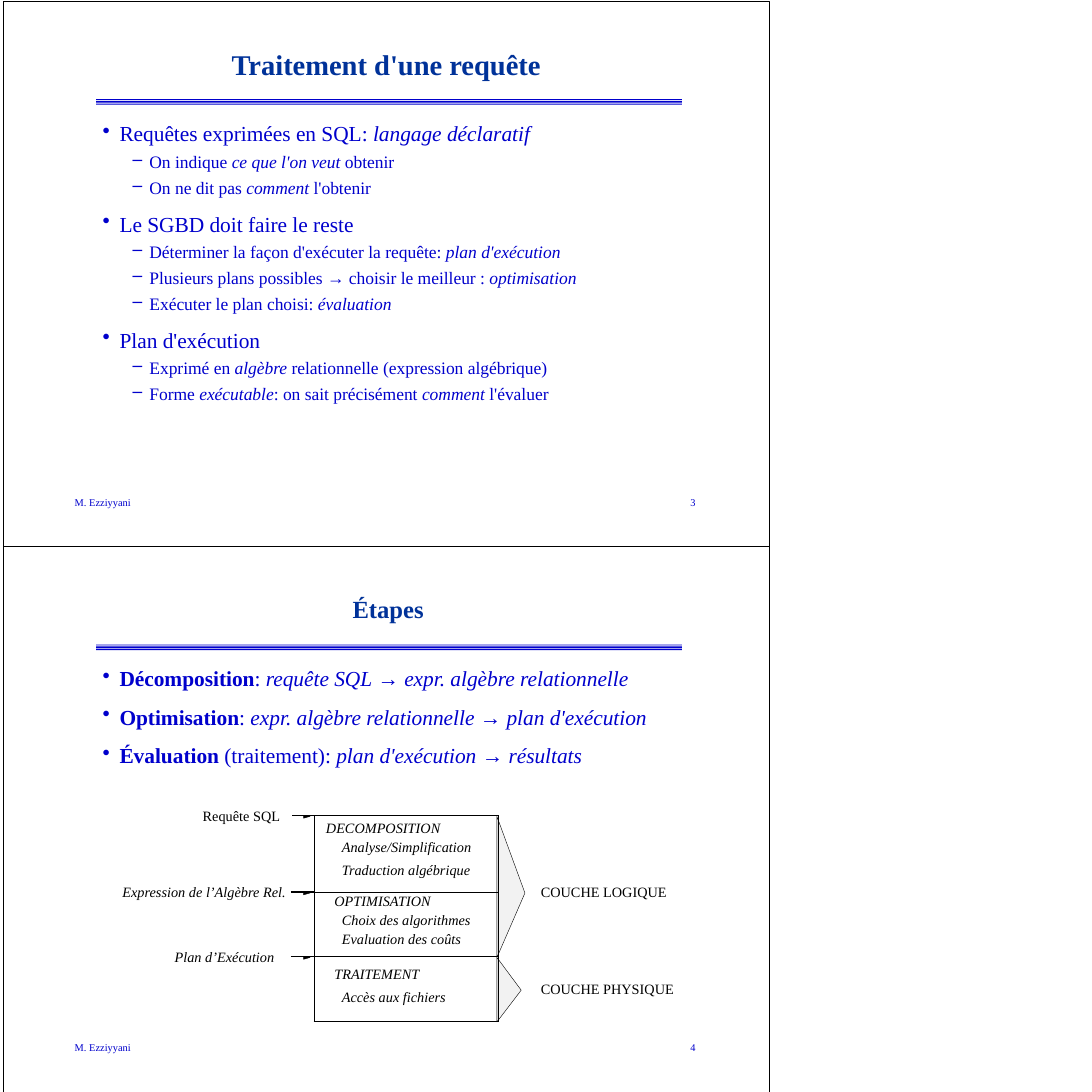
from dataclasses import dataclass

import lxml.etree
import pptx
import pptx.dml.color
import pptx.enum.shapes
import pptx.enum.text
import pptx.oxml.ns
import pptx.shapes.autoshape
import pptx.slide
import pptx.table
import pptx.text.text
import pptx.util

Inches = pptx.util.Inches
Pt = pptx.util.Pt
Color = pptx.dml.color.RGBColor
qn = pptx.oxml.ns.qn
Align = pptx.enum.text.PP_ALIGN

BLUE = Color(0x00, 0x00, 0xCC)
NAVY = Color(0x00, 0x32, 0x99)
BLACK = Color(0x00, 0x00, 0x00)
GREY = Color(0xF2, 0xF2, 0xF2)
SERIF = "Times New Roman"
ARROW = "→"
HANG = 0.18


@dataclass(frozen=True)
class Line:
    """One paragraph; *...* marks italic runs and _..._ bold runs."""
    text: str
    size: float = 11
    left: float = 0.01
    gap: float = 0
    bullet: str = ""
    bold: bool = False
    italic: bool = False
    spread: float = 1
    align: Align = Align.LEFT


@dataclass(frozen=True)
class Box:
    x: float
    y: float
    w: float
    h: float
    lines: list[Line]
    color: Color = BLACK


@dataclass(frozen=True)
class Stage:
    height: float
    inset: float
    lines: list[Line]


def head(text: str, gap: float = 9.9) -> Line:
    return Line(text, 16.5, 0.2, gap, "•")


def item(text: str) -> Line:
    return Line(text, 13.5, 0.52, 3.7, "–")


def step(text: str, left: float, gap: float = 0, spread: float = 1) -> Line:
    return Line(text, left=left, gap=gap, italic=True, spread=spread)


TITLES = [
    Box(2.47, 0.5, 3.5, 0.38, [Line("Traitement d'une requête", 22, bold=True)], NAVY),
    Box(1.08, 6.36, 5.93, 0.32,
        [Line("Étapes", 19, 0.22, bold=True, align=Align.CENTER)], NAVY),
]
BODIES = [
    Box(1.08, 1.29, 5.6, 3.05, [
        head("Requêtes exprimées en SQL: *langage déclaratif*"),
        item("On indique *ce que l'on veut* obtenir"),
        item("On ne dit pas *comment* l'obtenir"),
        head("Le SGBD doit faire le reste"),
        item("Déterminer la façon d'exécuter la requête: *plan d'exécution*"),
        item("Plusieurs plans possibles → choisir le meilleur : *optimisation*"),
        item("Exécuter le plan choisi: *évaluation*"),
        head("Plan d'exécution"),
        item("Exprimé en *algèbre* relationnelle (expression algébrique)"),
        item("Forme *exécutable*: on sait précisément *comment* l'évaluer"),
    ], BLUE),
    Box(1.08, 7.12, 6.1, 1.12, [
        head("_Décomposition_: *requête SQL* → *expr. algèbre relationnelle*"),
        head("_Optimisation_: *expr. algèbre relationnelle* → *plan d'exécution*", 10),
        head("_Évaluation_ (traitement): *plan d'exécution* → *résultats*", 10),
    ], BLUE),
]
LABELS = [
    Box(2.16, 8.64, 0.95, 0.19, [Line("Requête SQL")]),
    Box(1.3, 9.46, 1.85, 0.19, [Line("Expression de l’Algèbre Rel.", italic=True)]),
    Box(1.86, 10.15, 1.2, 0.19, [Line("Plan d’Exécution", italic=True)]),
    Box(5.78, 9.46, 1.5, 0.19, [Line("COUCHE LOGIQUE")]),
    Box(5.78, 10.49, 1.6, 0.19, [Line("COUCHE PHYSIQUE")]),
]
STAGES = [
    Stage(0.82, 0.06, [step("DECOMPOSITION", 0.13),
                       step("Analyse/Simplification", 0.3, 2.3),
                       step("Traduction algébrique", 0.3, 5.5)]),
    Stage(0.69, 0.02, [step("OPTIMISATION", 0.22),
                       step("Choix des algorithmes Evaluation des coûts", 0.3, spread=1.18)]),
    Stage(0.69, 0.11, [step("TRAITEMENT", 0.22),
                       step("Accès aux fichiers", 0.3, 5.5)]),
]
# top, tip height, bottom, depth of each layer marker
LAYERS = [(8.74, 9.56, 10.25, 0.3), (10.25, 10.6, 10.94, 0.26)]


def fill_par(par: pptx.text.text._Paragraph, line: Line, color: Color, first: bool) -> None:
    props = par._p.get_or_add_pPr()
    props.set("marL", str(Inches(line.left)))
    if line.bullet:
        props.set("indent", str(-Inches(HANG)))
        lxml.etree.SubElement(props, qn("a:buChar"), char=line.bullet)
        par.level = int(line.bullet == "–")
    par.alignment = line.align
    par.line_spacing = line.spread
    par.space_before = Pt(0 if first else line.gap)
    font = par.font
    font.name, font.size = SERIF, Pt(line.size)
    font.bold, font.italic = line.bold, line.italic
    font.color.rgb = color
    for i, part in enumerate(line.text.split("*")):
        for j, bit in enumerate(part.split("_")):
            for text in filter(None, bit.partition(ARROW)):
                run = par.add_run()
                run.text = text
                if i % 2:
                    run.font.italic = True
                if j % 2:
                    run.font.bold = True
                if text == ARROW:
                    run.font.name = "Arial"


def write(frame: pptx.text.text.TextFrame, lines: list[Line], color: Color) -> None:
    for i, line in enumerate(lines):
        par = frame.add_paragraph() if i else frame.paragraphs[0]
        fill_par(par, line, color, i == 0)


def add_box(slide: pptx.slide.Slide, box: Box) -> None:
    frame = slide.shapes.add_textbox(*map(Inches, (box.x, box.y, box.w, box.h))).text_frame
    frame.word_wrap = True
    frame.margin_left = frame.margin_right = frame.margin_top = frame.margin_bottom = 0
    write(frame, box.lines, box.color)


def paint(shape: pptx.shapes.autoshape.Shape, fill: Color | None, width: float) -> None:
    """Fill a shape and outline it in black; a width of 0 means no outline."""
    shape.shadow.inherit = False
    if fill is None:
        shape.fill.background()
    else:
        shape.fill.solid()
        shape.fill.fore_color.rgb = fill
    if width:
        shape.line.color.rgb = BLACK
        shape.line.width = Pt(width)
    else:
        shape.line.fill.background()


def add_rect(slide: pptx.slide.Slide, x: float, y: float, w: float, h: float,
             fill: Color | None, width: float) -> None:
    kind = pptx.enum.shapes.MSO_SHAPE.RECTANGLE
    paint(slide.shapes.add_shape(kind, *map(Inches, (x, y, w, h))), fill, width)


def add_wedge(slide: pptx.slide.Slide, x: float, top: float, tip: float,
              bottom: float, depth: float, fill: Color) -> None:
    """Draw a triangle that points right."""
    pen = slide.shapes.build_freeform(Inches(x), Inches(top))
    pen.add_line_segments([(Inches(x + depth), Inches(tip)), (Inches(x), Inches(bottom))])
    paint(pen.convert_to_shape(), fill, 0.31)


def set_edges(cell: pptx.table._Cell, edges: dict[str, float]) -> None:
    props = cell._tc.get_or_add_tcPr()
    for side, width in edges.items():
        edge = lxml.etree.SubElement(props, qn(f"a:ln{side}"), w=str(Pt(width)))
        solid = lxml.etree.SubElement(edge, qn("a:solidFill"))
        lxml.etree.SubElement(solid, qn("a:srgbClr"), val=str(BLACK))
    cell.fill.background()


def add_stages(slide: pptx.slide.Slide) -> None:
    size = map(Inches, (3.12, 8.73, 2.2, 2.2))
    table = slide.shapes.add_table(len(STAGES), 2, *size).table
    table.first_row = table.horz_banding = False
    table.columns[0].width, table.columns[1].width = Inches(0.22), Inches(1.98)
    for i, stage in enumerate(STAGES):
        table.rows[i].height = Inches(stage.height)
        stub, cell = table.cell(i, 0), table.cell(i, 1)
        foot = {"B": 1.5} if i < len(STAGES) - 1 else {}
        set_edges(stub, {"R": 0.5, "T": 1.5} | foot)
        set_edges(cell, dict.fromkeys("LRTB", 0.5))
        cell.margin_left = cell.margin_right = cell.margin_bottom = 0
        cell.margin_top = Inches(stage.inset)
        write(cell.text_frame, stage.lines, BLACK)


def main() -> None:
    deck = pptx.Presentation()
    deck.slide_width = deck.slide_height = Inches(11.69)
    slide = deck.slides.add_slide(deck.slide_layouts[6])
    for i, (title, body) in enumerate(zip(TITLES, BODIES)):
        top = 0.01 + 5.84 * i
        add_rect(slide, 0.03, top, 8.21, 5.84, None, 0.25)
        for drop, high in ((0, 0.01), (0.02, 0.02), (0.05, 0.01)):
            add_rect(slide, 1.03, top + 1.05 + drop, 6.27, high, BLUE, 0)
        add_box(slide, title)
        add_box(slide, body)
        for x, w, text in ((0.79, 1.75, "M. Ezziyyani"), (7.38, 0.2, str(i + 3))):
            add_box(slide, Box(x, top + 5.3, w, 0.15, [Line(text, 8)], BLUE))
    for top, tip, bottom, depth in LAYERS:
        add_wedge(slide, 5.32, top, tip, bottom, depth, GREY)
    for mid in (8.74, 9.56, 10.25):
        add_wedge(slide, 3.25, mid - 0.01, mid, mid + 0.02, 0.07, BLACK)
    for label in LABELS:
        add_box(slide, label)
    add_stages(slide)
    deck.save("out.pptx")


if __name__ == "__main__":
    main()
